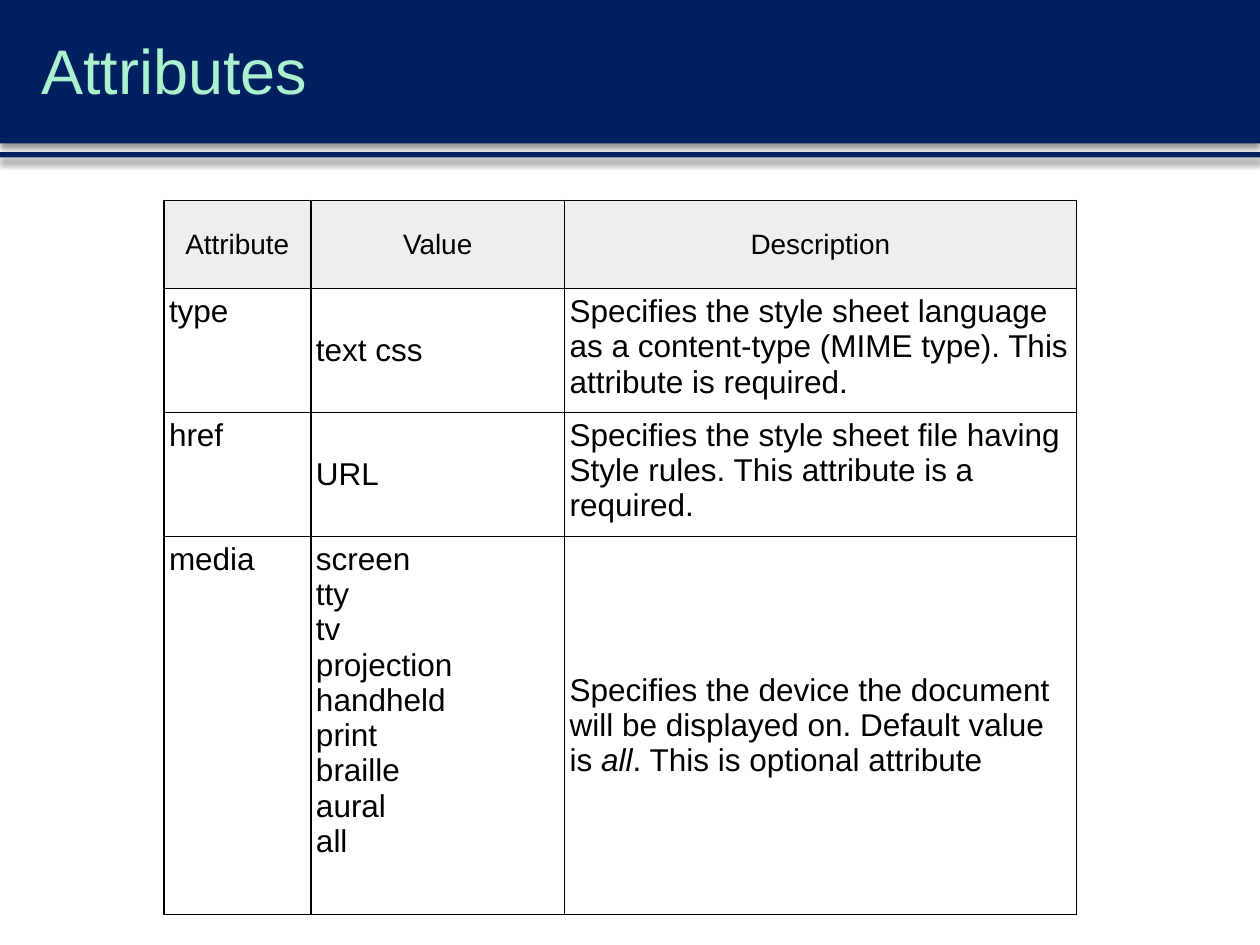
"""Build the slide that tabulates the attributes of a style sheet link."""
import pptx
import pptx.util
import pptx.dml.color
import pptx.enum.shapes
import pptx.enum.text
import pptx.oxml
import pptx.oxml.ns

Pt = pptx.util.Pt
ALIGN = pptx.enum.text.PP_ALIGN
ANCHOR = pptx.enum.text.MSO_ANCHOR
COLORS = {"navy": "002060", "mint": "ABF1CF", "black": "000000", "header": "EEEEEE"}
FONT = "Arial"
TITLE = "Attributes"
HEADERS = ["Attribute", "Value", "Description"]
MEDIA = ["screen", "tty", "tv", "projection", "handheld", "print", "braille", "aural", "all"]
ROWS = [
    (["type"], ["text css"],
     ["Specifies the style sheet language as a content-type (MIME type). This attribute is required."]),
    (["href"], ["URL"],
     ["Specifies the style sheet file having Style rules. This attribute is a required."]),
    (["media"], MEDIA,
     [[("Specifies the device the document will be displayed on. Default value is\u00a0".replace("\u00a0", " "), False),
       ("all", True), (". This is optional attribute", False)]]),
]
MIDDLE_CELLS = {(1, 1), (2, 1), (3, 2)}
COLUMN_WIDTHS = [84, 145, 292.5]
ROW_HEIGHTS = [50.5, 70.6, 70.6, 216]
TABLE_LEFT, TABLE_TOP = 93.6, 114.5
BANDS = [(0, 82), (87, 3)]
PAGE_WIDTH, PAGE_HEIGHT = 720, 540
CELL_MARGIN = 3


def rgb(name):
    return pptx.dml.color.RGBColor.from_string(COLORS[name])


def add_span(para, text, size, color="black", italic=False):
    span = para.add_run()
    span.text = text
    span.font.name = FONT
    span.font.size = Pt(size)
    span.font.italic = italic
    span.font.color.rgb = rgb(color)


def add_band(page, top, height):
    band = page.shapes.add_shape(
        pptx.enum.shapes.MSO_SHAPE.RECTANGLE, 0, Pt(top), Pt(PAGE_WIDTH), Pt(height))
    band.fill.solid()
    band.fill.fore_color.rgb = rgb("navy")
    band.line.fill.background()
    band.shadow.inherit = False
    effects = band._element.spPr.find(pptx.oxml.ns.qn("a:effectLst"))
    effects.append(pptx.oxml.parse_xml(
        f'<a:outerShdw {pptx.oxml.ns.nsdecls("a")} blurRad="{Pt(4)}" dist="{Pt(3)}" '
        f'dir="5400000" rotWithShape="0"><a:srgbClr val="{COLORS["black"]}">'
        '<a:alpha val="40000"/></a:srgbClr></a:outerShdw>'))


def add_title(page):
    box = page.shapes.add_textbox(Pt(16.5), Pt(3), Pt(703.5), Pt(79))
    frame = box.text_frame
    frame.word_wrap = True
    frame.vertical_anchor = ANCHOR.MIDDLE
    para = frame.paragraphs[0]
    para.line_spacing = 0.9
    add_span(para, TITLE, 36, "mint")


def add_borders(cell):
    properties = cell._tc.get_or_add_tcPr()
    for position, side in enumerate(("lnL", "lnR", "lnT", "lnB")):
        properties.insert(position, pptx.oxml.parse_xml(
            f'<a:{side} {pptx.oxml.ns.nsdecls("a")} w="{Pt(1)}"><a:solidFill>'
            f'<a:srgbClr val="{COLORS["black"]}"/></a:solidFill></a:{side}>'))


def fill_cell(cell, lines, is_header, is_middle):
    if is_header:
        cell.fill.solid()
        cell.fill.fore_color.rgb = rgb("header")
    else:
        cell.fill.background()
    add_borders(cell)
    cell.margin_left = cell.margin_right = Pt(CELL_MARGIN)
    cell.margin_top = cell.margin_bottom = Pt(CELL_MARGIN)
    cell.vertical_anchor = ANCHOR.MIDDLE if is_middle else ANCHOR.TOP
    frame = cell.text_frame
    for number, line in enumerate(lines):
        para = frame.add_paragraph() if number else frame.paragraphs[0]
        if is_header:
            para.alignment = ALIGN.CENTER
        elif len(lines) > 1:
            para.alignment = ALIGN.JUSTIFY
        spans = [(line, False)] if isinstance(line, str) else line
        for text, italic in spans:
            add_span(para, text, 16 if is_header else 18, italic=italic)


def add_attribute_table(page):
    content = [[[header] for header in HEADERS]] + ROWS
    table = page.shapes.add_table(
        len(content), len(HEADERS), Pt(TABLE_LEFT), Pt(TABLE_TOP),
        Pt(sum(COLUMN_WIDTHS)), Pt(sum(ROW_HEIGHTS))).table
    for column, width in zip(table.columns, COLUMN_WIDTHS):
        column.width = Pt(width)
    for row, height in zip(table.rows, ROW_HEIGHTS):
        row.height = Pt(height)
    for r, cells in enumerate(content):
        for c, lines in enumerate(cells):
            fill_cell(table.cell(r, c), lines, r == 0, r == 0 or (r, c) in MIDDLE_CELLS)


def main():
    deck = pptx.Presentation()
    deck.slide_width, deck.slide_height = Pt(PAGE_WIDTH), Pt(PAGE_HEIGHT)
    page = deck.slides.add_slide(deck.slide_layouts[6])
    for top, height in BANDS:
        add_band(page, top, height)
    add_title(page)
    add_attribute_table(page)
    deck.save("out.pptx")


if __name__ == "__main__":
    main()
